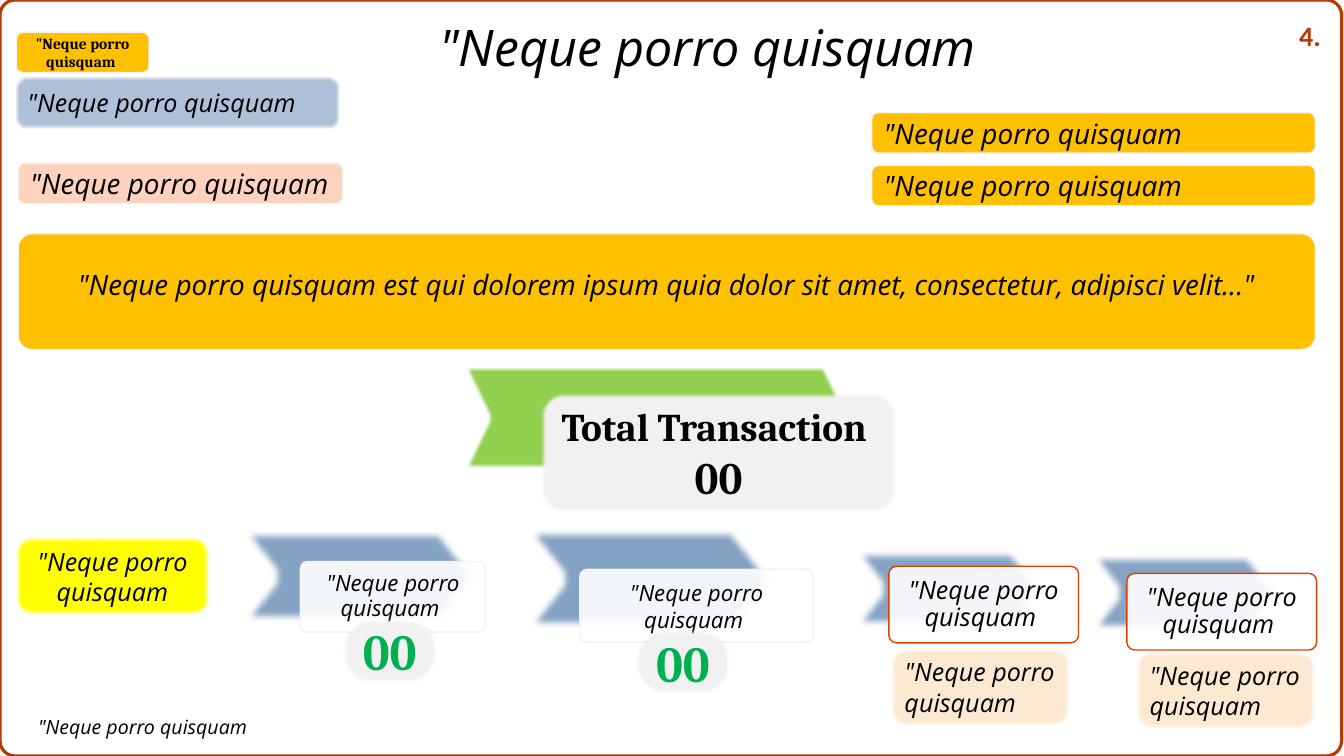
from lxml import etree
from pptx import Presentation
from pptx import util as u
from pptx.dml import color
from pptx.enum import shapes, text
from pptx.oxml import ns

COLORS = {
    "black": "000000", "white": "FFFFFF", "pale": "F2F2F2", "amber": "FFC000",
    "pink": "FED2BF", "steel": "85A3C4", "light_blue": "AEC1D8", "yellow": "FFFF00",
    "lime": "92D050", "peach": "FDE9D2", "green": "00B050", "orange": "D84400",
    "rust": "B83803",
}
PHRASE = '"Neque porro quisquam'
ROUNDED = shapes.MSO_SHAPE.ROUNDED_RECTANGLE
CHEVRON = shapes.MSO_SHAPE.CHEVRON
LEFT, CENTER = text.PP_ALIGN.LEFT, text.PP_ALIGN.CENTER


def draw(kind, at, fill, line="pale", adjust=None, soft=0, opacity=100):
    """Add a preset shape; at is in cm, soft is the soft-edge radius in points."""
    shape = slide.shapes.add_shape(kind, *map(u.Cm, at))
    shape.shadow.inherit = False
    if fill:
        shape.fill.solid()
        shape.fill.fore_color.rgb = color.RGBColor.from_string(COLORS[fill])
    else:
        shape.fill.background()
    shape.line.color.rgb = color.RGBColor.from_string(COLORS[line])
    shape.line.width = u.Pt(1)
    if adjust is not None:
        shape.adjustments[0] = adjust
    properties = shape.fill._xPr
    if soft:
        effects = properties.find(ns.qn("a:effectLst"))
        etree.SubElement(effects, ns.qn("a:softEdge"), rad=str(u.Pt(soft)))
    if opacity < 100:
        fill_color = properties.find(ns.qn("a:solidFill"))[0]
        etree.SubElement(fill_color, ns.qn("a:alpha"), val=str(opacity * 1000))
    return shape


def write(shape, words, size, align=LEFT, font="Open Sans", ink="black", spacing=None):
    """Fill a shape with text: Open Sans is italic, the other fonts are bold."""
    frame = shape.text_frame
    frame.text = words
    frame.word_wrap = True
    frame.vertical_anchor = text.MSO_ANCHOR.MIDDLE
    for paragraph in frame.paragraphs:
        paragraph.alignment = align
        if spacing:
            paragraph.line_spacing = spacing
        for run in paragraph.runs:
            run.font.name = font
            run.font.size = u.Pt(size)
            run.font.italic = font == "Open Sans"
            run.font.bold = font != "Open Sans"
            run.font.color.rgb = color.RGBColor.from_string(COLORS[ink])
    return frame


presentation = Presentation()
presentation.slide_width, presentation.slide_height = u.Cm(33.87), u.Cm(19.05)
slide = presentation.slides.add_slide(presentation.slide_layouts[5])

# Title, footnote and page number
title = slide.shapes.title
title.left, title.top, title.width, title.height = map(u.Cm, (7.37, 0.51, 21.26, 1.52))
write(title, PHRASE + " ", 36, CENTER, spacing=0.9)
footnote = slide.shapes.add_textbox(*map(u.Cm, (0.71, 17.81, 5.97, 1.02)))
write(footnote, PHRASE, 14)
page_number = slide.shapes.add_textbox(*map(u.Cm, (32.49, 0.33, 1.27, 1.02)))
write(page_number, "4.", 20, font="Calibri", ink="rust").vertical_anchor = text.MSO_ANCHOR.TOP

# Labels at the top
tag = draw(ROUNDED, (0.41, 0.81, 3.35, 1.02), "amber")
write(tag, PHRASE + " ", 11, CENTER, "Cambria")
for at, fill, size, soft in [
    ((0.38, 1.93, 8.18, 1.32), "light_blue", 18, 2.5),
    ((0.46, 4.11, 8.18, 1.02), "pink", 20, 0),
    ((21.97, 2.84, 11.18, 1.02), "amber", 20, 0),
    ((21.97, 4.17, 11.18, 1.02), "amber", 20, 0),
]:
    write(draw(ROUNDED, at, fill, soft=soft), PHRASE, size)

# Banner
banner = draw(ROUNDED, (0.46, 5.89, 32.69, 2.92), "amber", adjust=0.12)
banner_text = write(
    banner, PHRASE + ' est qui dolorem ipsum quia dolor sit amet, consectetur, adipisci velit..."',
    20, CENTER, spacing=u.Pt(13.5))
banner_text.paragraphs[0].space_before = u.Pt(7.5)
banner_text.paragraphs[0].space_after = u.Pt(3.8)

# Steps: a chevron with a card over it
for chevron_at, card_at, line, size, inset, spacing in [
    ((13.11, 13.34, 6.45, 2.49), (14.61, 14.35, 5.89, 1.83), "pale", 16, 0.36, 1.0),
    ((5.94, 13.36, 6.17, 2.31), (7.57, 14.15, 4.67, 1.78), "pale", 16, 0.36, 0.9),
    ((21.34, 13.87, 5.03, 1.93), (22.4, 14.27, 4.78, 1.93), "orange", 18, 0.41, 0.9),
    ((27.31, 13.97, 5.03, 1.93), (28.4, 14.45, 4.78, 1.93), "orange", 18, 0.41, 0.9),
]:
    draw(CHEVRON, chevron_at, "steel", "white", 0.4, soft=5)
    card = draw(ROUNDED, card_at, "white", line, 0.1, opacity=90)
    frame = write(card, PHRASE + " ", size, CENTER, spacing=spacing)
    frame.margin_left = frame.margin_right = u.Cm(inset)
    frame.margin_top = frame.margin_bottom = u.Cm(inset)

# Step counts and notes
for left, top in [(16.03, 15.88), (8.64, 15.6)]:
    count = draw(ROUNDED, (left, top, 2.36, 1.6), "pale", adjust=0.4, soft=2.5)
    write(count, "00", 36, CENTER, "Cambria", "green")
for left, top in [(22.45, 16.33), (28.63, 16.41)]:
    write(draw(ROUNDED, (left, top, 4.5, 1.96), "peach", soft=2.5), PHRASE, 18)
start = draw(ROUNDED, (0.41, 13.54, 4.85, 1.96), "yellow", soft=2.5)
write(start, PHRASE, 18, CENTER)

# Total
draw(CHEVRON, (11.71, 9.25, 9.68, 2.54), "lime", adjust=0.24, soft=2.5)
total = draw(ROUNDED, (13.64, 9.91, 8.94, 3), "pale", soft=2.5)
total_text = write(total, "Total Transaction \n00", 28, CENTER, "Cambria")
total_text.paragraphs[1].runs[0].font.size = u.Pt(32)

# Frame around the slide
border = draw(ROUNDED, (0, 0, 33.81, 19.05), None, "rust", 0.02)
border.line.width = u.Pt(2.25)

presentation.save("out.pptx")
